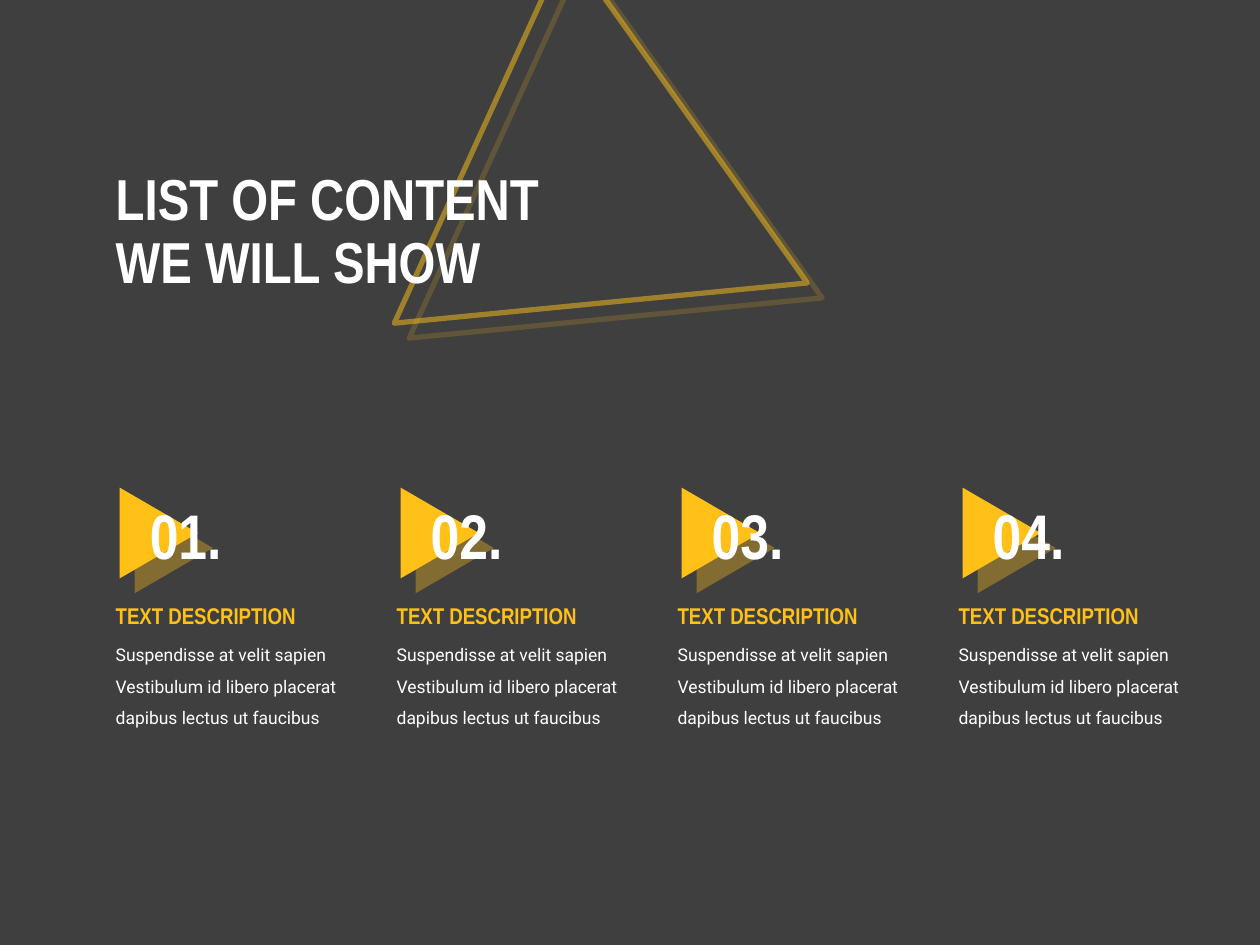
import dataclasses

import lxml.etree
import pptx
import pptx.dml.color
import pptx.enum.shapes
import pptx.enum.text
import pptx.oxml.ns
import pptx.util

Inches = pptx.util.Inches
Pt = pptx.util.Pt
RGBColor = pptx.dml.color.RGBColor

CHARCOAL = RGBColor(0x3F, 0x3F, 0x3F)
AMBER = RGBColor(0xFF, 0xC1, 0x18)
WHITE = RGBColor(0xFF, 0xFF, 0xFF)

HEADING_FONT = "Arial Narrow"
BODY_FONT = "Roboto"
FIRST_COLUMN_LEFT = 0.82
COLUMN_STEP = 2.23


@dataclasses.dataclass(frozen=True)
class TextStyle:
    size: float
    font: str
    color: RGBColor
    bold: bool = False
    line_spacing: float = 1.0


@dataclasses.dataclass(frozen=True)
class ContentItem:
    number: str
    heading: str
    description: str


TITLE_STYLE = TextStyle(33, HEADING_FONT, WHITE, True, 0.9)
NUMBER_STYLE = TextStyle(36, HEADING_FONT, WHITE, True)
HEADING_STYLE = TextStyle(13, HEADING_FONT, AMBER, True)
DESCRIPTION_STYLE = TextStyle(10, BODY_FONT, WHITE, line_spacing=1.5)

DESCRIPTION = (
    "Suspendisse at velit sapien Vestibulum id libero placerat "
    "dapibus lectus ut faucibus"
)
ITEMS = [
    ContentItem(f"{index:02d}.", "TEXT DESCRIPTION", DESCRIPTION)
    for index in range(1, 5)
]


def add_alpha(color_element, percent: int) -> None:
    alpha = lxml.etree.SubElement(color_element, pptx.oxml.ns.qn("a:alpha"))
    alpha.set("val", str(percent * 1000))


def add_offset_shadow(shape) -> None:
    shape.shadow.inherit = False
    effects = shape.element.spPr.find(pptx.oxml.ns.qn("a:effectLst"))
    shadow = lxml.etree.SubElement(
        effects,
        pptx.oxml.ns.qn("a:outerShdw"),
        blurRad="0",
        dist=str(Pt(12.1)),
        dir=str(45 * 60000),
        algn="tl",
        rotWithShape="0",
    )
    color = lxml.etree.SubElement(
        shadow, pptx.oxml.ns.qn("a:srgbClr"), val=str(AMBER)
    )
    add_alpha(color, 35)


def add_triangle(
    slide, left: float, top: float, width: float, height: float, rotation: float
):
    triangle = slide.shapes.add_shape(
        pptx.enum.shapes.MSO_SHAPE.ISOSCELES_TRIANGLE,
        Inches(left), Inches(top), Inches(width), Inches(height),
    )
    triangle.rotation = rotation
    add_offset_shadow(triangle)
    return triangle


def add_outline_triangle(slide) -> None:
    triangle = add_triangle(slide, 3.46, 0.23, 3.3, 2.85, 114.5)
    triangle.fill.background()
    triangle.line.color.rgb = AMBER
    triangle.line.width = Pt(3)
    add_alpha(triangle.line._ln.find(".//" + pptx.oxml.ns.qn("a:srgbClr")), 50)


def add_text(
    slide, left: float, top: float, width: float, height: float,
    lines: list[str], style: TextStyle,
):
    box = slide.shapes.add_textbox(
        Inches(left), Inches(top), Inches(width), Inches(height)
    )
    frame = box.text_frame
    frame.word_wrap = True
    paragraph = frame.paragraphs[0]
    paragraph.line_spacing = style.line_spacing
    for index, line in enumerate(lines):
        if index:
            paragraph.add_line_break()
        run = paragraph.add_run()
        run.text = line
        run.font.size = Pt(style.size)
        run.font.name = style.font
        run.font.bold = style.bold
        run.font.color.rgb = style.color
    return frame


def add_item(slide, item: ContentItem, left: float) -> None:
    marker = add_triangle(slide, left + 0.08, 3.92, 0.72, 0.62, 90)
    marker.fill.solid()
    marker.fill.fore_color.rgb = AMBER
    marker.line.fill.background()
    add_text(slide, left + 0.27, 3.89, 0.99, 0.7, [item.number], NUMBER_STYLE)
    add_text(slide, left, 4.98, 2.11, 0.85, [item.description], DESCRIPTION_STYLE)
    add_text(slide, left, 4.73, 1.84, 0.54, [item.heading], HEADING_STYLE)


presentation = pptx.Presentation()
presentation.slide_width = Inches(10)
presentation.slide_height = Inches(7.5)
slide = presentation.slides.add_slide(presentation.slide_layouts[6])
slide.background.fill.solid()
slide.background.fill.fore_color.rgb = CHARCOAL

add_outline_triangle(slide)
title_frame = add_text(
    slide, 0.82, 1.06, 4.22, 1.58,
    ["LIST OF CONTENT", "WE WILL SHOW"], TITLE_STYLE,
)
title_frame.vertical_anchor = pptx.enum.text.MSO_ANCHOR.MIDDLE

for column, item in enumerate(ITEMS):
    add_item(slide, item, FIRST_COLUMN_LEFT + column * COLUMN_STEP)

presentation.save("out.pptx")
